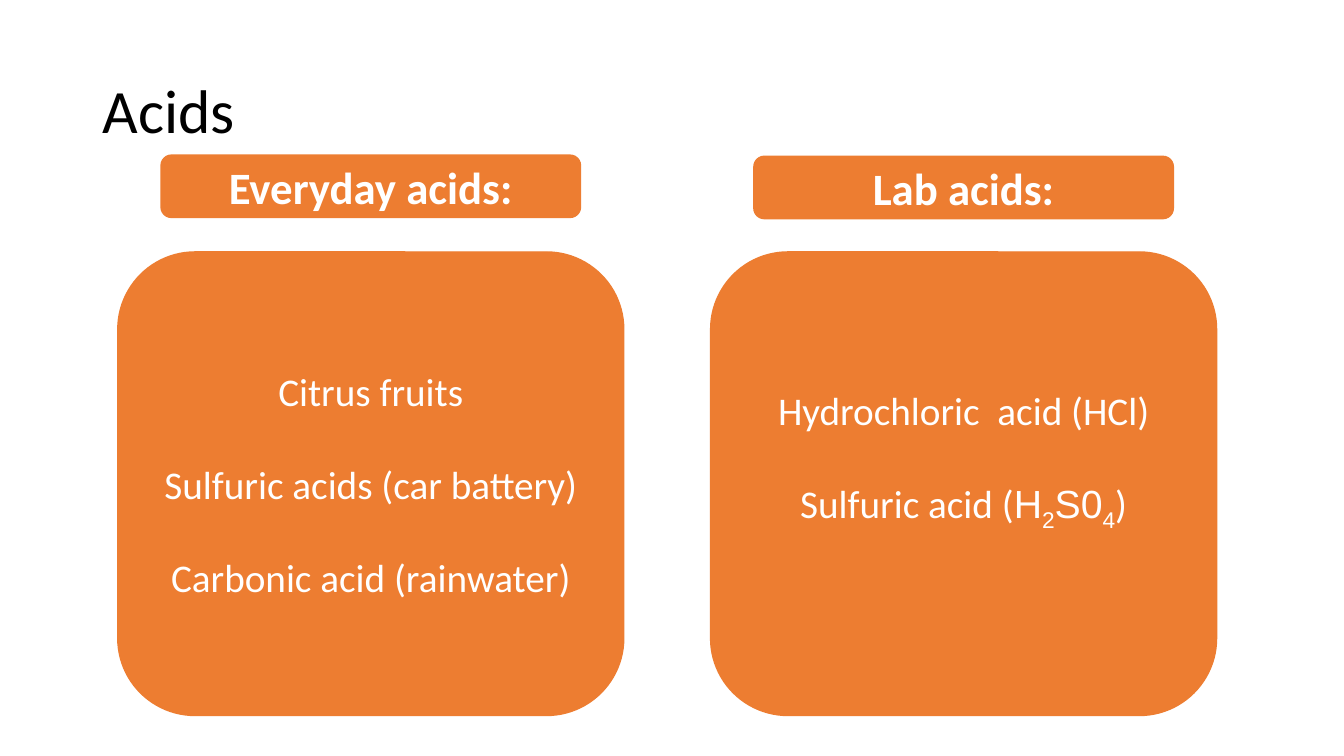
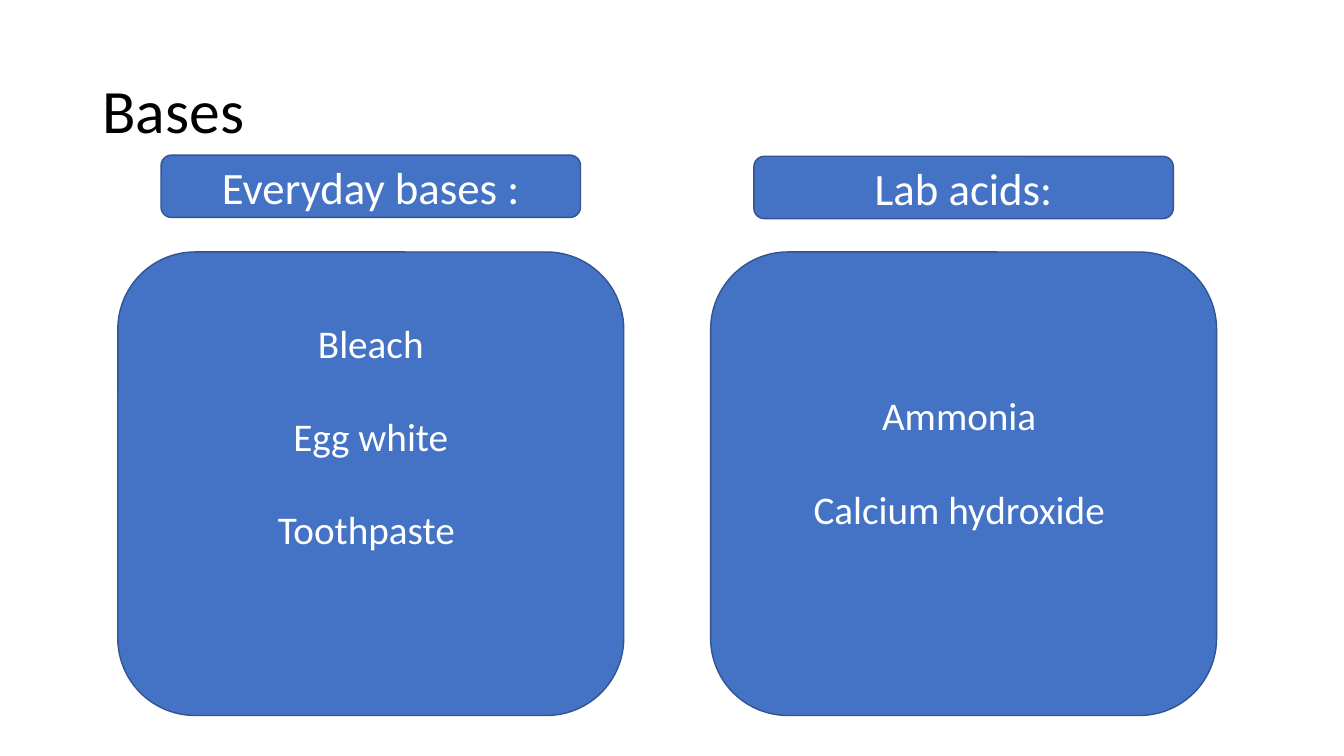
import pptx
import pptx.dml.color
import pptx.enum.shapes
import pptx.enum.text
import pptx.util

Cm = pptx.util.Cm
Pt = pptx.util.Pt
ALIGN = pptx.enum.text.PP_ALIGN
MIDDLE = pptx.enum.text.MSO_ANCHOR.MIDDLE

COLORS = {
    "title": "000000",
    "text": "FFFFFF",
    "acid": "ED7D31",
    "acid_line": "ED7D31",
    "base": "4472C4",
    "base_line": "325491",
}
FONT = "Calibri"
FORMULA_FONT = "Arial"

# An item is a string, or a list of (text, font, is subscript) parts.
SULFURIC_ACID = [
    ("Sulfuric acid (", FONT, False),
    ("H", FORMULA_FONT, False),
    ("2", FORMULA_FONT, True),
    ("S0", FORMULA_FONT, False),
    ("4", FORMULA_FONT, True),
    (")", FONT, False),
]

# "lift" is the free space kept below the items, in cm.
SLIDES = [
    {
        "title": "Acids",
        "theme": "acid",
        "bold": True,
        "columns": [
            {"heading": "Everyday acids:", "lift": 0,
             "items": ["Citrus fruits", "Sulfuric acids (car battery)",
                       "Carbonic acid (rainwater)"]},
            {"heading": "Lab acids:", "lift": 1.2,
             "items": ["Hydrochloric  acid (HCl)", SULFURIC_ACID]},
        ],
    },
    {
        "title": "Bases",
        "theme": "base",
        "bold": False,
        "columns": [
            {"heading": "Everyday bases :", "lift": 2.4,
             "items": ["Bleach", "Egg white", "Toothpaste "]},
            {"heading": "Lab acids:", "lift": 1.1,
             "items": ["Ammonia ", "Calcium hydroxide "]},
        ],
    },
]

COLUMN_LEFT, COLUMN_STEP = 2.97, 14.94
CARD_TOP, CARD_WIDTH, CARD_HEIGHT = 6.35, 12.75, 11.68
HEADING_TOPS = (3.91, 3.94)
HEADING_WIDTH, HEADING_HEIGHT = 10.57, 1.57
ITEM_GAP = Pt(33)


def rgb(name):
    return pptx.dml.color.RGBColor.from_string(COLORS[name])


def set_font(font, size, color, bold=False):
    font.name = FONT
    font.size = Pt(size)
    font.bold = bold
    font.color.rgb = rgb(color)


def add_title(slide, text):
    title = slide.shapes.title
    title.left, title.top = Cm(2.33), Cm(1.01)
    title.width, title.height = Cm(29.21), Cm(3.68)
    title.text_frame.text = text
    title.text_frame.vertical_anchor = MIDDLE
    paragraph = title.text_frame.paragraphs[0]
    paragraph.alignment = ALIGN.LEFT
    paragraph.line_spacing = 0.9
    set_font(paragraph.font, 44, "title")


def add_item(paragraph, item):
    if isinstance(item, str):
        paragraph.text = item
        return
    for text, font, is_subscript in item:
        run = paragraph.add_run()
        run.text = text
        run.font.name = font
        if is_subscript:
            run._r.get_or_add_rPr().set("baseline", "-25000")


def add_panel(slide, theme, bounds, items, size, bold=False, lift=0):
    """Add a rounded rectangle with one centred paragraph per item."""
    panel = slide.shapes.add_shape(
        pptx.enum.shapes.MSO_SHAPE.ROUNDED_RECTANGLE,
        *(Cm(length) for length in bounds))
    panel.shadow.inherit = False
    panel.fill.solid()
    panel.fill.fore_color.rgb = rgb(theme)
    panel.line.color.rgb = rgb(theme + "_line")
    panel.line.width = Pt(1)
    frame = panel.text_frame
    frame.word_wrap = True
    frame.vertical_anchor = MIDDLE
    frame.margin_bottom = Cm(0.13 + lift)
    for index, item in enumerate(items):
        paragraph = frame.add_paragraph() if index else frame.paragraphs[0]
        paragraph.alignment = ALIGN.CENTER
        if index:
            paragraph.space_before = ITEM_GAP
        set_font(paragraph.font, size, "text", bold)
        add_item(paragraph, item)


def add_content_slide(presentation, content):
    slide = presentation.slides.add_slide(presentation.slide_layouts[5])
    add_title(slide, content["title"])
    theme = content["theme"]
    for index, column in enumerate(content["columns"]):
        card_left = COLUMN_LEFT + index * COLUMN_STEP
        heading_left = card_left + (CARD_WIDTH - HEADING_WIDTH) / 2
        add_panel(slide, theme,
                  (card_left, CARD_TOP, CARD_WIDTH, CARD_HEIGHT),
                  column["items"], 28, lift=column["lift"])
        add_panel(slide, theme,
                  (heading_left, HEADING_TOPS[index],
                   HEADING_WIDTH, HEADING_HEIGHT),
                  [column["heading"]], 32, bold=content["bold"])


def main():
    presentation = pptx.Presentation()
    presentation.slide_width = Cm(33.87)
    presentation.slide_height = Cm(19.05)
    for content in SLIDES:
        add_content_slide(presentation, content)
    presentation.save("out.pptx")


if __name__ == "__main__":
    main()
